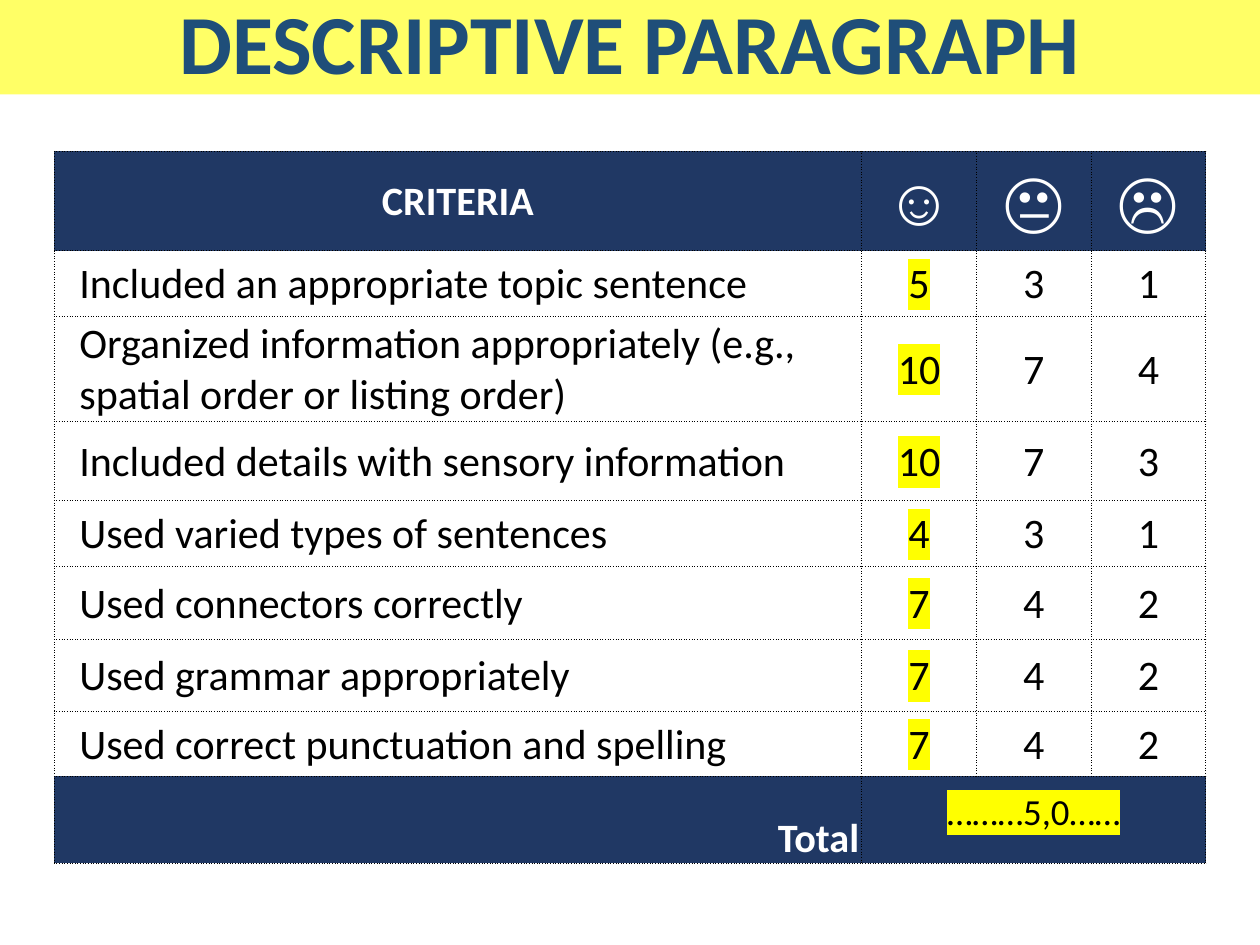
import pptx
import pptx.dml.color
import pptx.enum.text
import pptx.oxml
import pptx.oxml.ns
import pptx.util
from pptx.util import Inches

ALIGN = pptx.enum.text.PP_ALIGN
ANCHOR = pptx.enum.text.MSO_ANCHOR
NAVY, WHITE, BLACK, YELLOW = "203864", "FFFFFF", "000000", "FFFF00"
COLUMN_WIDTHS = [6.41, 0.91, 0.91, 0.91]
ROW_HEIGHTS = [0.79, 0.52, 0.52, 0.63, 0.52, 0.58, 0.57, 0.52, 0.69]
FACES = ["☺", "😐", "☹"]
CRITERIA = [
    ("Included an appropriate topic sentence", 5, 3, 1),
    ("Organized information appropriately (e.g., spatial order or listing order)", 10, 7, 4),
    ("Included details with sensory information", 10, 7, 3),
    ("Used varied types of sentences", 4, 3, 1),
    ("Used connectors correctly", 7, 4, 2),
    ("Used grammar appropriately", 7, 4, 2),
    ("Used correct punctuation and spelling", 7, 4, 2),
]


def rgb(hex_color):
    """Return the colour for a hex string."""
    return pptx.dml.color.RGBColor.from_string(hex_color)


def write(frame, text, size, color, bold=False, align=ALIGN.CENTER, font="Calibri"):
    """Put one formatted paragraph in a text frame and return it."""
    frame.text = text
    paragraph = frame.paragraphs[0]
    paragraph.alignment = align
    run_font = paragraph.runs[0].font
    run_font.name, run_font.size, run_font.bold = font, pptx.util.Pt(size), bold
    run_font.color.rgb = rgb(color)
    return paragraph


def highlight(paragraph, color):
    """Mark the first run of a paragraph with a highlight colour."""
    properties = paragraph.runs[0].font._element
    mark = pptx.oxml.parse_xml(
        f'<a:highlight {pptx.oxml.ns.nsdecls("a")}><a:srgbClr val="{color}"/></a:highlight>')
    properties.find(pptx.oxml.ns.qn("a:solidFill")).addnext(mark)


def add_borders(cell):
    """Draw thin dotted black lines on all sides of a cell."""
    properties = cell._tc.get_or_add_tcPr()
    for index, side in enumerate(("lnL", "lnR", "lnT", "lnB")):
        properties.insert(index, pptx.oxml.parse_xml(
            f'<a:{side} {pptx.oxml.ns.nsdecls("a")} w="6350"><a:solidFill>'
            f'<a:srgbClr val="{BLACK}"/></a:solidFill><a:prstDash val="sysDot"/></a:{side}>'))


def set_cell(cell, fill=None, margins=(0.02, 0.02, 0.02, 0), anchor=ANCHOR.MIDDLE):
    """Set the fill, margins and anchor of a cell."""
    if fill:
        cell.fill.solid()
        cell.fill.fore_color.rgb = rgb(fill)
    else:
        cell.fill.background()
    cell.margin_left, cell.margin_top, cell.margin_right, cell.margin_bottom = map(Inches, margins)
    cell.vertical_anchor = anchor


def add_title(slide, text):
    """Place the title as a full-width band."""
    title = slide.shapes.title
    title.left, title.top, title.width, title.height = map(Inches, (0, 0, 10, 0.75))
    title.fill.solid()
    title.fill.fore_color.rgb = rgb("FFFF66")
    title.text_frame.auto_size = pptx.enum.text.MSO_AUTO_SIZE.NONE
    title.text_frame.vertical_anchor = ANCHOR.MIDDLE
    write(title.text_frame, text, 48, "1F4E79", bold=True).line_spacing = 0.9


def add_rubric(slide):
    """Build the scoring table and return it."""
    rubric = slide.shapes.add_table(
        len(ROW_HEIGHTS), len(COLUMN_WIDTHS), Inches(0.43), Inches(1.2),
        Inches(sum(COLUMN_WIDTHS)), Inches(sum(ROW_HEIGHTS))).table
    rubric.first_row = rubric.horz_banding = False
    for column, width in zip(rubric.columns, COLUMN_WIDTHS):
        column.width = Inches(width)
    for row, height in zip(rubric.rows, ROW_HEIGHTS):
        row.height = Inches(height)
    for cell in rubric.iter_cells():
        set_cell(cell)
        add_borders(cell)
    return rubric


def fill_header(rubric):
    """Write the header row."""
    for column, label in enumerate(["CRITERIA"] + FACES):
        cell = rubric.cell(0, column)
        set_cell(cell, NAVY)
        size, font = (38, "Arial") if column else (23, "Calibri")
        write(cell.text_frame, label, size, WHITE, bold=True, font=font)


def fill_criteria(rubric):
    """Write each criterion with its scores, marking the awarded one."""
    for row, (criterion, *scores) in enumerate(CRITERIA, start=1):
        criterion_cell = rubric.cell(row, 0)
        set_cell(criterion_cell, margins=(0.2, 0.02, 0.02, 0))
        write(criterion_cell.text_frame, criterion, 24, BLACK, align=ALIGN.LEFT)
        for column, score in enumerate(scores, start=1):
            paragraph = write(rubric.cell(row, column).text_frame, str(score), 24, BLACK)
            if column == 1:
                highlight(paragraph, YELLOW)


def fill_total(rubric):
    """Write the total row with its merged score cell."""
    last = len(ROW_HEIGHTS) - 1
    label, score = rubric.cell(last, 0), rubric.cell(last, 1)
    score.merge(rubric.cell(last, 3))
    set_cell(label, NAVY, anchor=ANCHOR.BOTTOM)
    write(label.text_frame, "Total", 23, WHITE, bold=True, align=ALIGN.RIGHT)
    set_cell(score, NAVY, (0.21, 0.11, 0.21, 0.11), ANCHOR.TOP)
    highlight(write(score.text_frame, "………5,0……", 21, BLACK), YELLOW)


def main():
    """Build and save the rubric slide."""
    deck = pptx.Presentation()
    deck.slide_width, deck.slide_height = Inches(10), Inches(7.5)
    slide = deck.slides.add_slide(deck.slide_layouts[5])
    add_title(slide, "DESCRIPTIVE PARAGRAPH")
    rubric = add_rubric(slide)
    fill_header(rubric)
    fill_criteria(rubric)
    fill_total(rubric)
    deck.save("out.pptx")


if __name__ == "__main__":
    main()
